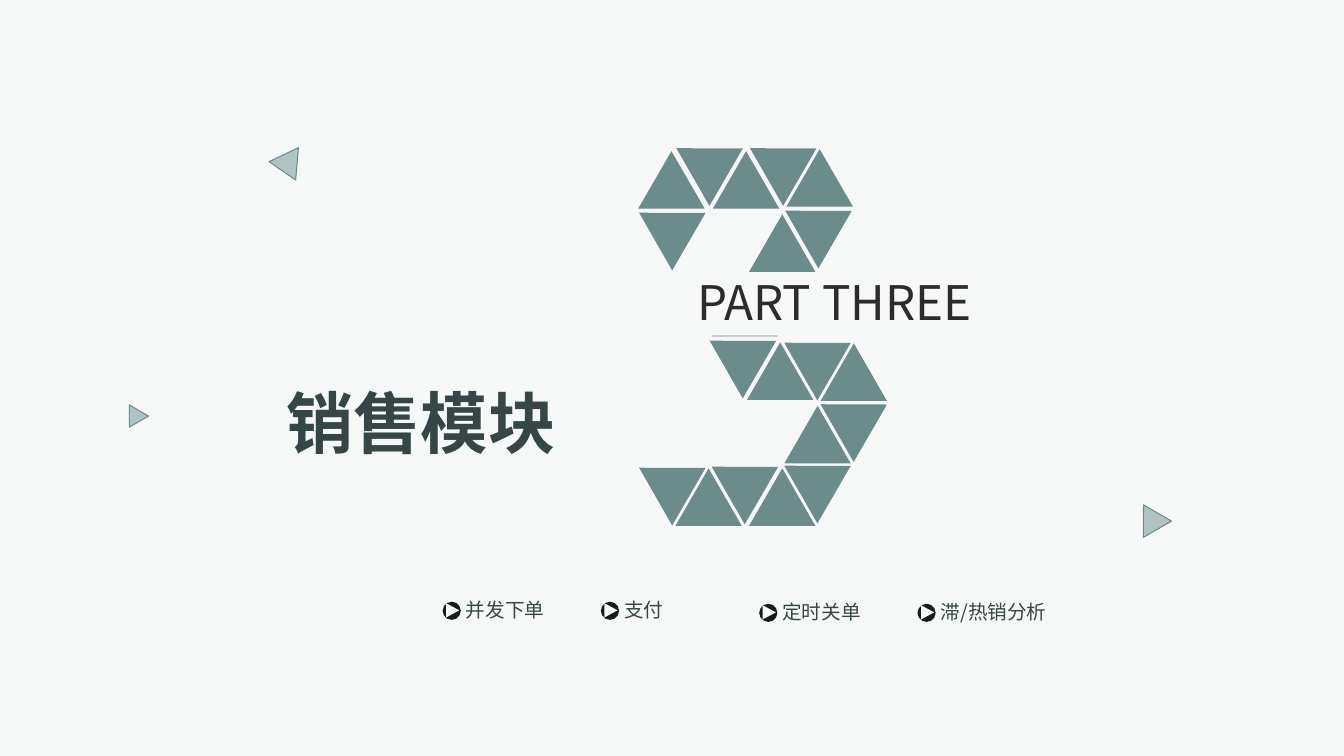
from lxml import etree
from pptx import Presentation
from pptx.dml.color import RGBColor
from pptx.enum.shapes import MSO_SHAPE as SHAPE
from pptx.enum.text import MSO_ANCHOR as ANCHOR, MSO_AUTO_SIZE as AUTO, PP_ALIGN as ALIGN
from pptx.oxml.ns import qn
from pptx.util import Inches, Pt

FONT = "Noto Sans CJK SC"
PAPER, TEAL, PALE, SLATE = "F6F8F8", "6C8B8B", "B1C2C2", "364545"


def add_shape(shapes, kind, x, y, w, h, fill, rot=0, line=None):
    sp = shapes.add_shape(kind, Inches(x), Inches(y), Inches(w), Inches(h))
    sp.shadow.inherit = False
    sp.rotation = rot
    sp.fill.solid()
    sp.fill.fore_color.rgb = RGBColor.from_string(fill)
    if line:
        sp.line.color.rgb = RGBColor.from_string(line)
        sp.line.width = Pt(0.75)
    else:
        sp.line.fill.background()
    return sp


def set_text(sp, text, size, color, bold=False, align=ALIGN.CENTER, wrap=True,
             inset=None, spacing=1.0, before=0):
    tf = sp.text_frame
    tf.word_wrap = wrap
    tf.auto_size = AUTO.SHAPE_TO_FIT_TEXT
    tf.vertical_anchor = ANCHOR.TOP
    if inset is not None:
        tf.margin_left = tf.margin_right = Inches(inset)
        tf.margin_top = tf.margin_bottom = Inches(inset)
    p = tf.paragraphs[0]
    p.alignment = align
    p.line_spacing = spacing
    p.space_before = Pt(before)
    r = p.add_run()
    r.text = text
    r.font.name = FONT
    r.font.size = Pt(size)
    r.font.bold = bold
    r.font.color.rgb = RGBColor.from_string(color)
    etree.SubElement(r.font._element, qn("a:ea")).set("typeface", FONT)


prs = Presentation()
prs.slide_width, prs.slide_height = Inches(13.33), Inches(7.5)
s = prs.slides.add_slide(prs.slide_layouts[5])
s.background.fill.solid()
s.background.fill.fore_color.rgb = RGBColor.from_string(PAPER)

# Section title
title = s.shapes.title
title.left, title.top = Inches(2.73), Inches(3.73)
title.width, title.height = Inches(2.89), Inches(0.91)
set_text(title, "销售模块", 48, SLATE, bold=True, wrap=False)

# Numeral built from equal triangles, listed by rotation
numeral = {
    0: [(7.07, 1.5), (7.8, 1.48), (6.33, 1.5)],
    60.2: [(7.52, 1.33), (7.87, 1.95), (7.49, 2.59), (7.12, 3.24), (8.22, 3.87),
           (7.86, 3.26), (6.79, 1.33), (7.86, 4.48), (6.42, 1.97), (7.14, 4.49),
           (6.42, 4.5)],
    120: [(7.51, 2.27), (7.14, 2.91), (7.86, 4.17), (7.49, 3.54), (8.22, 3.55),
          (7.51, 4.79), (6.78, 4.79)],
}
grp = s.shapes.add_group_shape()
for rot, places in numeral.items():
    for x, y in places:
        add_shape(grp.shapes, SHAPE.ISOSCELES_TRIANGLE, x, y, 0.66, 0.57, TEAL, rot)

# Scattered small triangles
for x, y, w, h, rot in [(2.72, 1.44, 0.32, 0.28, 34.7),
                        (11.25, 5.07, 0.32, 0.28, 210.2),
                        (1.22, 4.06, 0.22, 0.19, 210.2)]:
    add_shape(s.shapes, SHAPE.ISOSCELES_TRIANGLE, x, y, w, h, PALE, rot, TEAL)

# Part label, a band across the numeral
band = add_shape(s.shapes, SHAPE.RECTANGLE, 6.67, 2.72, 3.21, 0.61, PAPER)
set_text(band, "PART THREE", 34, "2B2B2B", spacing=0.9, before=10)

# Topics, each with a play icon
for i, topic in enumerate(["并发下单", "支付", "定时关单", "滞/热销分析"]):
    x = 4.39 + 1.57 * i
    y = 5.93 if i < 2 else 5.95
    grp = s.shapes.add_group_shape()
    tb = grp.shapes.add_textbox(Inches(x + 0.23), Inches(y), Inches(1.34), Inches(0.24))
    set_text(tb, topic, 14, SLATE, align=ALIGN.LEFT, inset=0)
    add_shape(grp.shapes, SHAPE.OVAL, x, y + 0.04, 0.18, 0.18, "161C1C")
    add_shape(grp.shapes, SHAPE.ISOSCELES_TRIANGLE, x + 0.03, y + 0.06, 0.14, 0.13, PAPER, 90)

prs.save("out.pptx")
